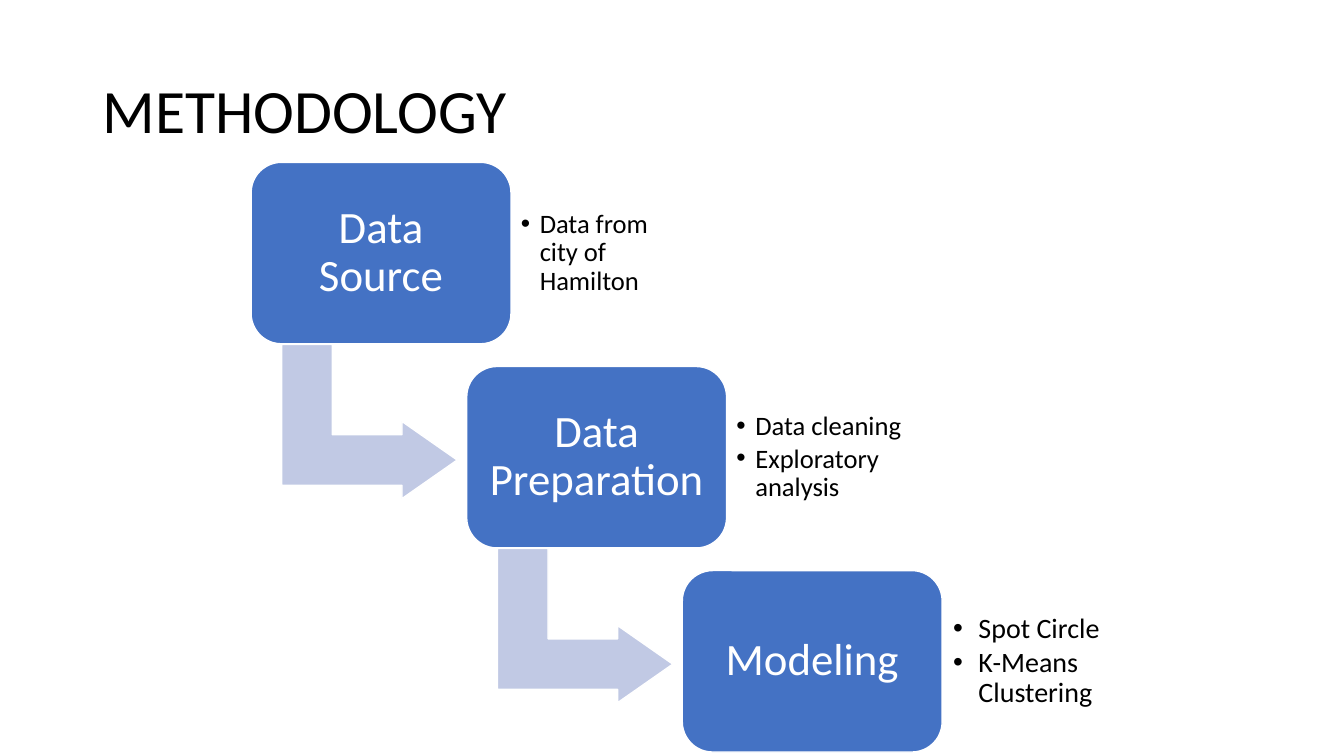
"""Build the methodology slide: a three-step staircase with notes beside each step."""
from dataclasses import dataclass

from lxml import etree
from pptx import Presentation
from pptx.dml.color import RGBColor
from pptx.enum.shapes import MSO_SHAPE
from pptx.enum.text import MSO_ANCHOR, MSO_AUTO_SIZE, PP_ALIGN
from pptx.oxml.ns import qn
from pptx.util import Pt

ROUNDED, BENT_ARROW = MSO_SHAPE.ROUNDED_RECTANGLE, MSO_SHAPE.BENT_UP_ARROW
MIDDLE, NO_FIT = MSO_ANCHOR.MIDDLE, MSO_AUTO_SIZE.NONE
LEFT, CENTER = PP_ALIGN.LEFT, PP_ALIGN.CENTER


@dataclass(frozen=True)
class Theme:
    font: str = "Calibri"
    text: RGBColor = RGBColor(0x00, 0x00, 0x00)
    white: RGBColor = RGBColor(0xFF, 0xFF, 0xFF)
    step: RGBColor = RGBColor(0x44, 0x72, 0xC4)
    arrow: RGBColor = RGBColor(0xC1, 0xC9, 0xE4)
    title_size: int = 44
    step_size: int = 32


THEME = Theme()
STEPS = [
    ("Data Source", ["Data from city of Hamilton"], 19, 13.5, 7.2),
    ("Data Preparation", ["Data cleaning", "Exploratory analysis"], 19, 13.5, 7.2),
    ("Modeling", ["Spot Circle", "K-Means Clustering"], 20, 18, 7.9),
]
STEP_LEFT, STEP_TOP, STEP_WIDTH, STEP_HEIGHT = 179.4, 116, 185.6, 129.6
SHIFT_X, SHIFT_Y = 154, 145.8


def style_text(paragraph, size, color, align, bullet_indent=0):
    paragraph.alignment = align
    paragraph.line_spacing = 0.9
    if bullet_indent:
        paragraph.space_after = Pt(3)
        properties = paragraph._p.get_or_add_pPr()
        properties.set("marL", str(Pt(bullet_indent)))
        properties.set("indent", str(-Pt(bullet_indent)))
        etree.SubElement(properties, qn("a:buFont"), typeface="Arial")
        etree.SubElement(properties, qn("a:buChar"), char="•")
    paragraph.font.name = THEME.font
    paragraph.font.size = Pt(size)
    paragraph.font.color.rgb = color


def add_block(kind, left, top, width, height, fill):
    block = slide.shapes.add_shape(kind, Pt(left), Pt(top), Pt(width), Pt(height))
    block.shadow.inherit = False
    block.fill.solid()
    block.fill.fore_color.rgb = fill
    block.line.color.rgb = THEME.white
    block.line.width = Pt(1)
    return block


deck = Presentation()
deck.slide_width, deck.slide_height = Pt(960), Pt(540)
slide = deck.slides.add_slide(deck.slide_layouts[5])

title = slide.shapes.title
title.left, title.top, title.width, title.height = Pt(66), Pt(28.8), Pt(828), Pt(104.4)
title.text_frame.text = "METHODOLOGY"
title.text_frame.auto_size = NO_FIT
title.text_frame.vertical_anchor = MIDDLE
style_text(title.text_frame.paragraphs[0], THEME.title_size, THEME.text, LEFT)

for index, (step_name, notes, note_size, bullet_indent, note_inset) in enumerate(STEPS):
    left = STEP_LEFT + index * SHIFT_X
    top = STEP_TOP + index * SHIFT_Y

    if index < len(STEPS) - 1:
        arrow = add_block(BENT_ARROW, left + 29.4, top + 122.4, 110.2, 125.3, THEME.arrow)
        arrow.rotation = 90
        for position, ratio in enumerate((0.328, 0.25, 0.358)):
            arrow.adjustments[position] = ratio

    step = add_block(ROUNDED, left, top, STEP_WIDTH, STEP_HEIGHT, THEME.step)
    step.adjustments[0] = 0.167
    label = step.text_frame
    label.text = step_name
    label.word_wrap = True
    label.vertical_anchor = MIDDLE
    label.margin_left = label.margin_right = label.margin_top = label.margin_bottom = Pt(9)
    style_text(label.paragraphs[0], THEME.step_size, THEME.white, CENTER)

    note_box = slide.shapes.add_textbox(
        Pt(left + STEP_WIDTH), Pt(top + 12.4), Pt(134.6), Pt(105))
    frame = note_box.text_frame
    frame.text = "\n".join(notes)
    frame.word_wrap = True
    frame.vertical_anchor = MIDDLE
    frame.margin_left = frame.margin_right = Pt(note_inset)
    frame.margin_top = frame.margin_bottom = Pt(note_inset)
    for note in frame.paragraphs:
        style_text(note, note_size, THEME.text, LEFT, bullet_indent)

deck.save("out.pptx")
